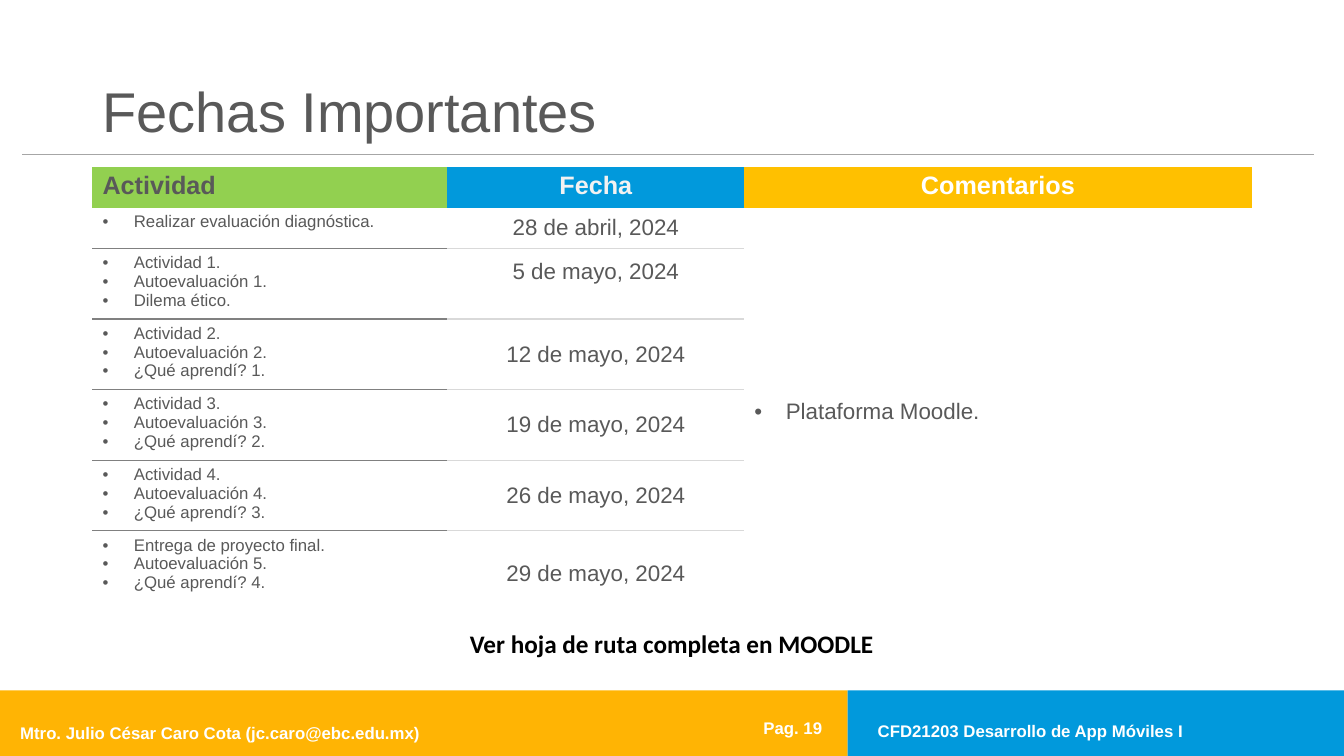
from dataclasses import dataclass

from lxml import etree
from pptx import Presentation
from pptx.dml.color import RGBColor
from pptx.enum.shapes import MSO_CONNECTOR, MSO_SHAPE
from pptx.enum.text import MSO_ANCHOR, MSO_AUTO_SIZE, PP_ALIGN
from pptx.oxml.ns import qn
from pptx.util import Cm, Pt

LEFT, CENTER, RIGHT = PP_ALIGN.LEFT, PP_ALIGN.CENTER, PP_ALIGN.RIGHT
TOP, MIDDLE, BOTTOM = MSO_ANCHOR.TOP, MSO_ANCHOR.MIDDLE, MSO_ANCHOR.BOTTOM
FIT_SHAPE = MSO_AUTO_SIZE.SHAPE_TO_FIT_TEXT
RECTANGLE, STRAIGHT = MSO_SHAPE.RECTANGLE, MSO_CONNECTOR.STRAIGHT
PLAIN_TABLE = "{2D5ABB26-0587-4C30-8999-92F81FD0307C}"


@dataclass(frozen=True)
class Theme:
    font: str = "Arial"
    note_font: str = "Calibri"
    text: str = "595959"
    white: str = "FFFFFF"
    pale: str = "F2F2F2"
    black: str = "000000"
    green: str = "92D050"
    blue: str = "0199DC"
    gold: str = "FFC000"
    orange: str = "FFB404"
    title_rule: str = "A6A6A6"
    activity_rule: str = "808080"
    date_rule: str = "D9D9D9"
    title_size: int = 40
    header_size: int = 18
    date_size: int = 16
    small_size: int = 12


class SlideBuilder:
    def __init__(self, slide, theme):
        self.slide = slide
        self.theme = theme

    def set_text(self, frame, lines, size, color, bold=False, align=LEFT,
                 font=None, bullets=False):
        frame.text = "\n".join(lines)
        for paragraph in frame.paragraphs:
            paragraph.alignment = align
            if bullets:
                self.add_bullet(paragraph)
            for run in paragraph.runs:
                run.font.name = font or self.theme.font
                run.font.size = Pt(size)
                run.font.bold = bold
                run.font.color.rgb = RGBColor.from_string(color)

    def add_bullet(self, paragraph):
        properties = paragraph._p.get_or_add_pPr()
        properties.set("marL", str(Cm(0.79)))
        properties.set("indent", str(-Cm(0.79)))
        etree.SubElement(properties, qn("a:buFont"), typeface=self.theme.font)
        etree.SubElement(properties, qn("a:buChar"), char="•")

    def title(self, text, left, top, width, height):
        title = self.slide.shapes.title
        title.left, title.top = Cm(left), Cm(top)
        title.width, title.height = Cm(width), Cm(height)
        frame = title.text_frame
        self.set_text(frame, [text], self.theme.title_size, self.theme.text)
        frame.vertical_anchor = BOTTOM
        frame.paragraphs[0].line_spacing = 0.9

    def band(self, left, top, width, height, color):
        band = self.slide.shapes.add_shape(
            RECTANGLE, Cm(left), Cm(top), Cm(width), Cm(height))
        band.shadow.inherit = False
        band.fill.solid()
        band.fill.fore_color.rgb = RGBColor.from_string(color)
        band.line.fill.background()

    def rule(self, left, right, y, color):
        rule = self.slide.shapes.add_connector(
            STRAIGHT, Cm(left), Cm(y), Cm(right), Cm(y))
        rule.line.color.rgb = RGBColor.from_string(color)
        rule.line.width = Pt(1)
        etree.SubElement(rule._element.spPr, qn("a:effectLst"))

    def label(self, text, left, top, width, height, size, color,
              align=LEFT, anchor=TOP, font=None, wrap=True, fit=True):
        box = self.slide.shapes.add_textbox(
            Cm(left), Cm(top), Cm(width), Cm(height))
        frame = box.text_frame
        self.set_text(frame, [text], size, color, True, align, font)
        frame.word_wrap = wrap
        frame.vertical_anchor = anchor
        if fit:
            frame.auto_size = FIT_SHAPE

    def table(self, left, top, widths, heights):
        frame = self.slide.shapes.add_table(
            len(heights), len(widths), Cm(left), Cm(top),
            Cm(sum(widths)), Cm(sum(heights)))
        table = frame.table
        table.first_row = table.horz_banding = False
        table._tbl.tblPr.find(qn("a:tableStyleId")).text = PLAIN_TABLE
        for column, width in zip(table.columns, widths):
            column.width = Cm(width)
        for row, height in zip(table.rows, heights):
            row.height = Cm(height)
        return table

    def cell(self, cell, lines, size, color, fill=None, anchor=TOP, **style):
        self.set_text(cell.text_frame, lines, size, color, **style)
        cell.vertical_anchor = anchor
        if fill:
            cell.fill.solid()
            cell.fill.fore_color.rgb = RGBColor.from_string(fill)
        else:
            cell.fill.background()

    def cell_borders(self, cell, sides, color):
        """Draw the given sides, listed in the order lnT, lnB."""
        properties = cell._tc.get_or_add_tcPr()
        for position, side in enumerate(sides):
            line = etree.Element(qn(f"a:{side}"), w=str(Pt(1)))
            solid = etree.SubElement(line, qn("a:solidFill"))
            etree.SubElement(solid, qn("a:srgbClr"), val=color)
            properties.insert(position, line)


SCHEDULE = [
    (["Realizar evaluación diagnóstica."], "28 de abril, 2024"),
    (["Actividad 1.", "Autoevaluación 1.", "Dilema ético."], "5 de mayo, 2024"),
    (["Actividad 2.", "Autoevaluación 2.", "¿Qué aprendí? 1."], "12 de mayo, 2024"),
    (["Actividad 3.", "Autoevaluación 3.", "¿Qué aprendí? 2."], "19 de mayo, 2024"),
    (["Actividad 4.", "Autoevaluación 4.", "¿Qué aprendí? 3."], "26 de mayo, 2024"),
    (["Entrega de proyecto final.", "Autoevaluación 5.", "¿Qué aprendí? 4."],
     "29 de mayo, 2024"),
]


def add_schedule(builder):
    theme = builder.theme
    heights = [1.03, 1.03] + [1.68] * 4 + [2.14]
    table = builder.table(2.33, 4.2, [8.94, 7.49, 12.78], heights)
    headers = [
        ("Actividad", theme.text, theme.green, LEFT),
        ("Fecha", theme.pale, theme.blue, CENTER),
        ("Comentarios", theme.white, theme.gold, CENTER),
    ]
    for column, (heading, color, fill, align) in enumerate(headers):
        builder.cell(table.cell(0, column), [heading], theme.header_size, color,
                     fill, bold=True, align=align)

    last = len(SCHEDULE)
    for row, (activities, date) in enumerate(SCHEDULE, start=1):
        activity_cell, date_cell = table.cell(row, 0), table.cell(row, 1)
        builder.cell(activity_cell, activities, theme.small_size, theme.text,
                     bullets=True)
        builder.cell(date_cell, [date], theme.date_size, theme.text,
                     anchor=MIDDLE, align=CENTER)
        sides = ["lnT"] * (row > 1) + ["lnB"] * (row < last)
        builder.cell_borders(activity_cell, sides, theme.activity_rule)
        builder.cell_borders(date_cell, sides, theme.date_rule)
    table.cell(2, 1).margin_bottom = Cm(0.74)

    comments = table.cell(1, 2)
    comments.merge(table.cell(last, 2))
    builder.cell(comments, ["Plataforma Moodle."], theme.date_size, theme.text,
                 anchor=MIDDLE, bullets=True)


def main():
    presentation = Presentation()
    presentation.slide_width, presentation.slide_height = Cm(33.87), Cm(19.05)
    slide = presentation.slides.add_slide(presentation.slide_layouts[5])
    theme = Theme()
    builder = SlideBuilder(slide, theme)

    builder.band(0, 17.4, 21.36, 1.65, theme.orange)
    builder.band(21.36, 17.4, 12.51, 1.65, theme.blue)
    builder.label("Mtro. Julio César Caro Cota (jc.caro@ebc.edu.mx)",
                  0.26, 18.08, 10.92, 0.77, theme.small_size, theme.white, wrap=False)
    builder.label("CFD21203 Desarrollo de App Móviles I",
                  21.87, 18.03, 8.3, 0.77, theme.small_size, theme.white, wrap=False)
    builder.rule(0.56, 33.12, 3.89, theme.title_rule)
    builder.title("Fechas Importantes", 2.33, 0.61, 29.21, 3.15)
    builder.label("Pag. 19", 17.81, 17.83, 3.16, 1.02, theme.small_size,
                  theme.white, RIGHT, MIDDLE, fit=False)
    add_schedule(builder)
    builder.label("Ver hoja de ruta completa en MOODLE", 5.74, 15.72, 22.38, 1.02,
                  theme.header_size, theme.black, CENTER, font=theme.note_font)
    presentation.save("out.pptx")


if __name__ == "__main__":
    main()
